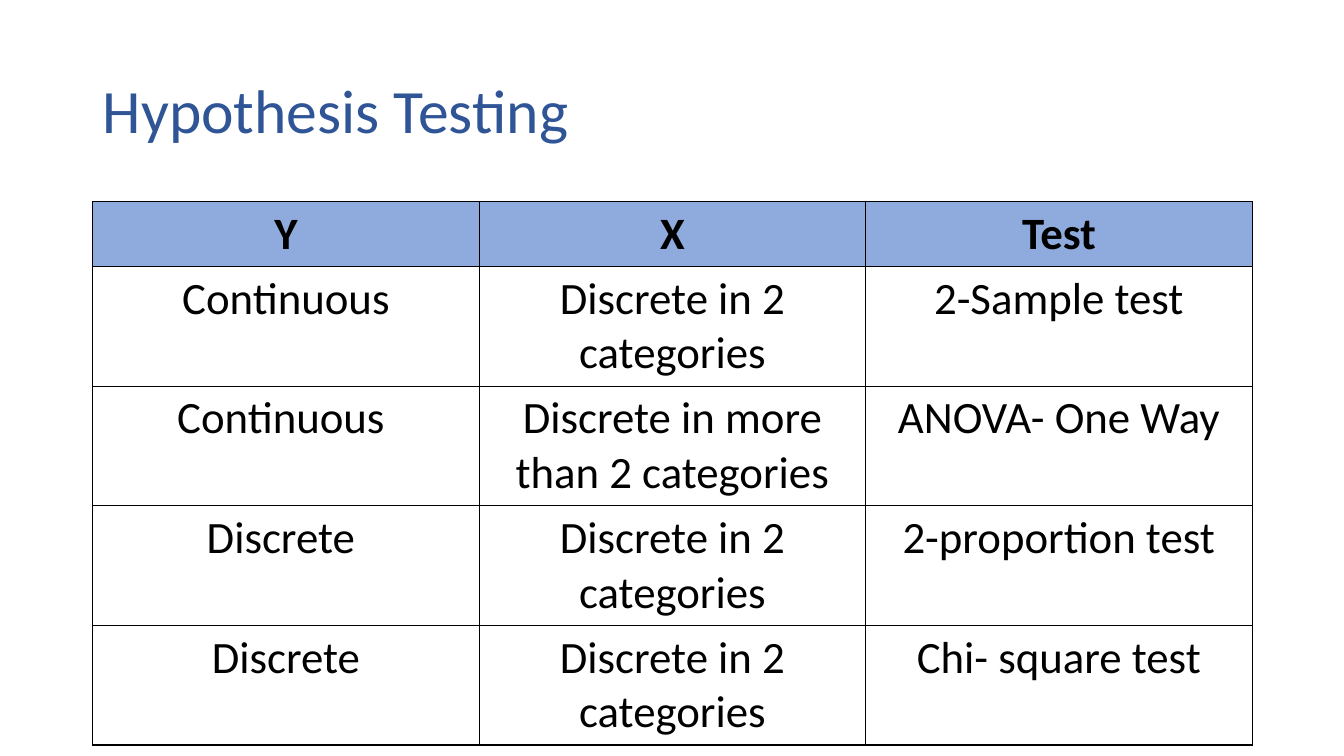
from lxml.etree import SubElement
from pptx import Presentation
from pptx.dml.color import RGBColor
from pptx.enum.text import MSO_ANCHOR, PP_ALIGN
from pptx.oxml.ns import qn
from pptx.util import Inches, Pt

COLORS = {"title": "2F5597", "header": "8FAADC", "body": "FFFFFF", "text": "000000", "border": "000000"}
FONT = "Calibri"
LEFT, WIDTH = 0.92, 11.5
ROW_HEIGHT = 0.41
TESTS = [
    ("Y", "X", "Test"),
    ("Continuous", "Discrete in 2 categories", "2-Sample test"),
    ("Continuous ", "Discrete in more than 2 categories", "ANOVA- One Way"),
    ("Discrete ", "Discrete in 2 categories", "2-proportion test"),
    ("Discrete", "Discrete in 2 categories", "Chi- square test"),
]


def color(name):
    return RGBColor.from_string(COLORS[name])


def set_font(paragraph, size, color_name, bold=False):
    font = paragraph.font
    font.name = FONT
    font.size = Pt(size)
    font.bold = bold
    font.color.rgb = color(color_name)


def add_title(slide, text):
    title = slide.shapes.title
    title.left, title.top = Inches(LEFT), Inches(0.4)
    title.width, title.height = Inches(WIDTH), Inches(1.45)
    frame = title.text_frame
    frame.text = text
    frame.word_wrap = True
    frame.vertical_anchor = MSO_ANCHOR.MIDDLE
    paragraph = frame.paragraphs[0]
    paragraph.alignment = PP_ALIGN.LEFT
    paragraph.line_spacing = 0.9
    set_font(paragraph, 44, "title")


def add_borders(cell):
    properties = cell._tc.get_or_add_tcPr()
    for index, side in enumerate(("a:lnL", "a:lnR", "a:lnT", "a:lnB")):
        line = SubElement(properties, qn(side), w=str(Pt(1)))
        fill = SubElement(line, qn("a:solidFill"))
        SubElement(fill, qn("a:srgbClr"), val=COLORS["border"])
        properties.insert(index, line)


def fill_cell(cell, text, is_header):
    cell.text = text
    paragraph = cell.text_frame.paragraphs[0]
    paragraph.alignment = PP_ALIGN.CENTER
    set_font(paragraph, 32, "text", is_header)
    cell.fill.solid()
    cell.fill.fore_color.rgb = color("header" if is_header else "body")
    add_borders(cell)


def add_test_table(slide, rows):
    row_count, column_count = len(rows), len(rows[0])
    table = slide.shapes.add_table(
        row_count, column_count, Inches(LEFT), Inches(2),
        Inches(WIDTH), Inches(ROW_HEIGHT * row_count),
    ).table
    for row_index, row in enumerate(rows):
        for column_index, text in enumerate(row):
            fill_cell(table.cell(row_index, column_index), text, row_index == 0)


def main():
    presentation = Presentation()
    presentation.slide_width = Inches(13.33)
    presentation.slide_height = Inches(7.5)
    slide = presentation.slides.add_slide(presentation.slide_layouts[5])
    add_title(slide, "Hypothesis Testing")
    add_test_table(slide, TESTS)
    presentation.save("out.pptx")


if __name__ == "__main__":
    main()
